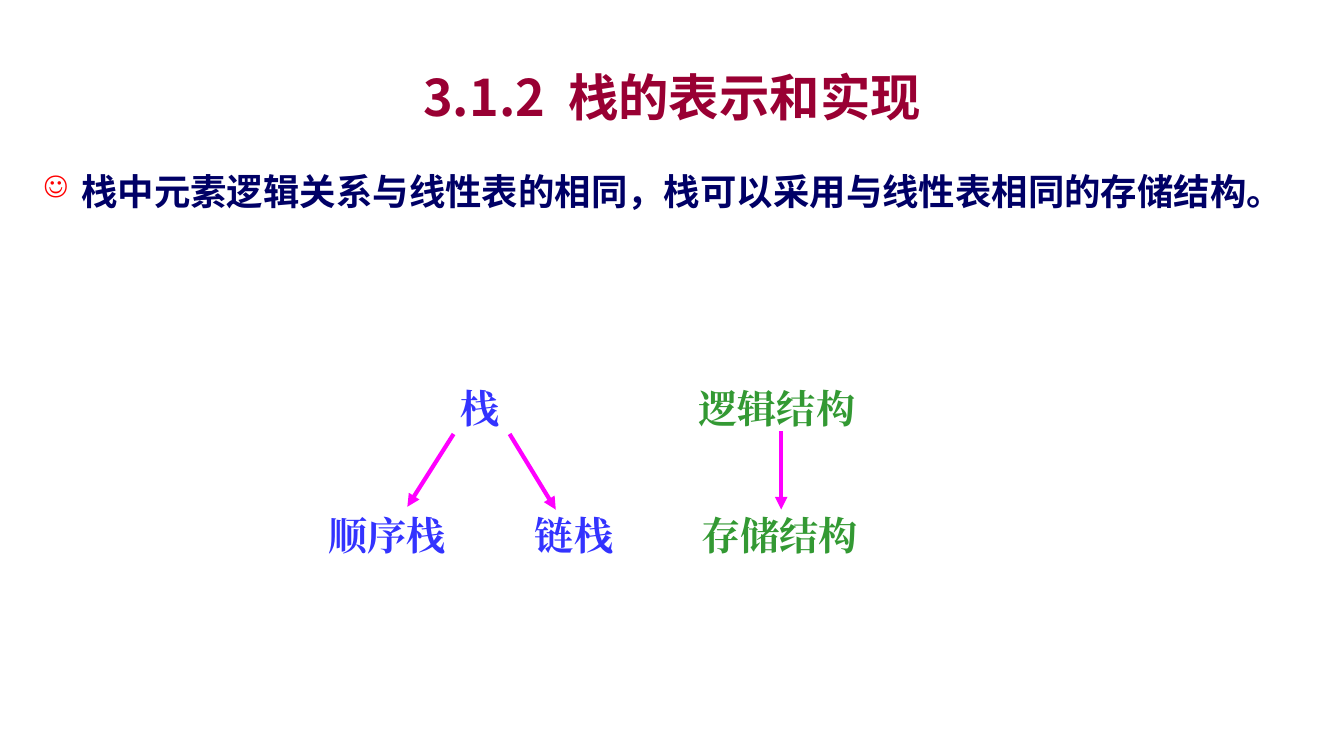
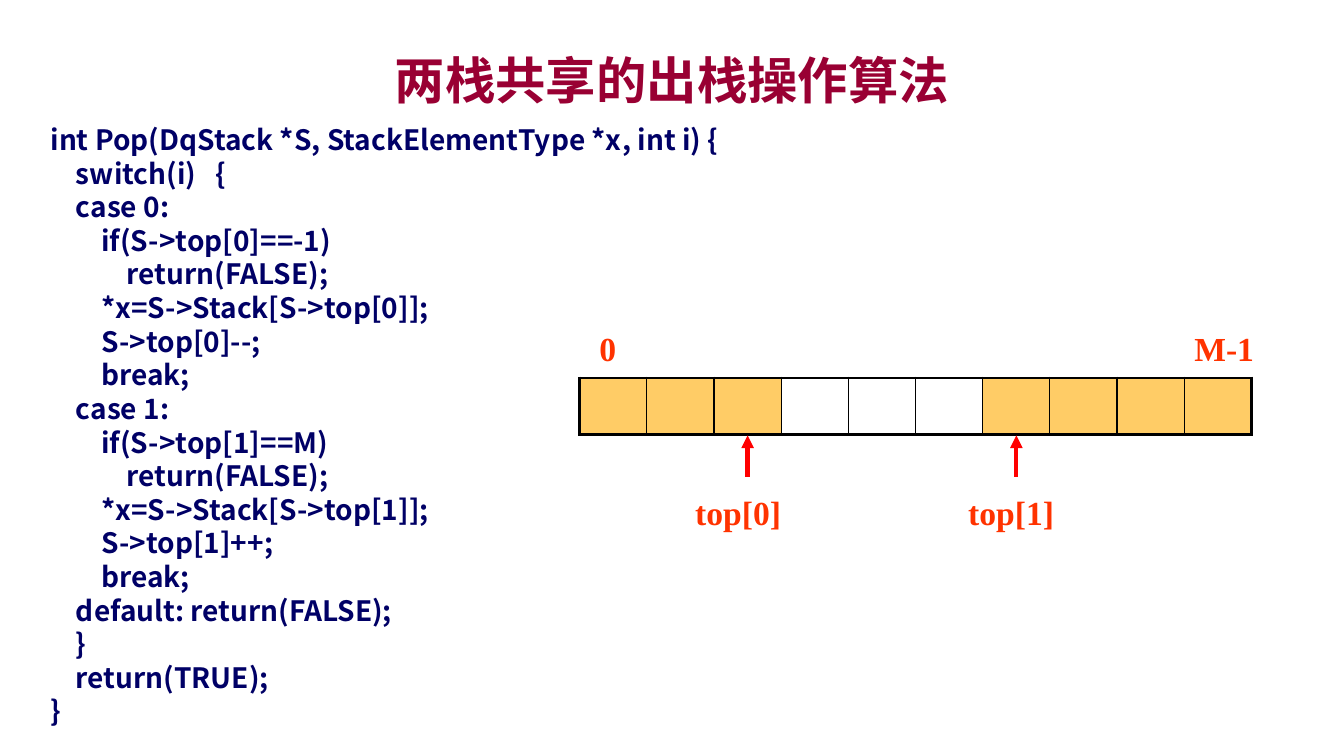
from lxml import etree
from pptx import Presentation
from pptx.dml.color import RGBColor
from pptx.enum.shapes import MSO_CONNECTOR
from pptx.enum.text import MSO_ANCHOR, MSO_AUTO_SIZE, PP_ALIGN
from pptx.oxml.ns import qn
from pptx.util import Pt

COLORS = {
    "title": "990033", "body": "000066", "bullet": "FF0000",
    "stack": "3333FF", "structure": "339933", "branch": "FF00FF",
    "label": "FF3300", "pointer": "FF0000", "border": "000000",
    "used": "FFCC66", "free": "FFFFFF",
}
SANS = "Noto Sans CJK SC"
SERIF = "Times New Roman"


def add_text(sp, lines, size, font, color, align=PP_ALIGN.LEFT):
    tf = sp.text_frame
    tf.word_wrap = True
    tf.auto_size = MSO_AUTO_SIZE.NONE
    for i, line in enumerate(lines):
        p = tf.add_paragraph() if i else tf.paragraphs[0]
        p.alignment = align
        r = p.add_run()
        r.text = line
        r.font.size = Pt(size)
        r.font.bold = True
        r.font.name = font
        r.font.color.rgb = RGBColor.from_string(COLORS[color])
        etree.SubElement(r.font._element, qn("a:ea"), typeface=font)
    return tf


def add_arrow(s, x1, y1, x2, y2, color):
    sp = s.shapes.add_connector(
        MSO_CONNECTOR.STRAIGHT, Pt(x1), Pt(y1), Pt(x2), Pt(y2))
    sp.line.width = Pt(3)
    sp.line.color.rgb = RGBColor.from_string(COLORS[color])
    etree.SubElement(sp.line._get_or_add_ln(), qn("a:tailEnd"), type="triangle")
    etree.SubElement(sp._element.spPr, qn("a:effectLst"))


prs = Presentation()
prs.slide_width, prs.slide_height = Pt(960), Pt(540)

slides = []
for title, height in [("3.1.2  栈的表示和实现", 54), ("两栈共享的出栈操作算法", 30)]:
    s = prs.slides.add_slide(prs.slide_layouts[5])
    sp = s.shapes.title
    sp.left, sp.top, sp.width, sp.height = Pt(72), Pt(42), Pt(816), Pt(height)
    tf = add_text(sp, [title], 36, SANS, "title", PP_ALIGN.CENTER)
    tf.vertical_anchor = MSO_ANCHOR.MIDDLE
    slides.append(s)
overview, pop = slides

sp = overview.shapes.add_textbox(Pt(24), Pt(108), Pt(912), Pt(78))
tf = add_text(sp, ["栈中元素逻辑关系与线性表的相同，栈可以采用与线性表相同的存储结构。"],
              26, SANS, "body")
p = tf.paragraphs[0]
p.line_spacing = 1.3
pPr = p._p.get_or_add_pPr()
pPr.set("marL", str(Pt(27)))
pPr.set("indent", str(-Pt(27)))
buClr = etree.SubElement(pPr, qn("a:buClr"))
etree.SubElement(buClr, qn("a:srgbClr"), val=COLORS["bullet"])
etree.SubElement(pPr, qn("a:buSzPct"), val="80000")
etree.SubElement(pPr, qn("a:buChar"), char="☺")

for text, x, y, width, color, align in [
    ("栈", 312.5, 271, 61, "stack", PP_ALIGN.CENTER),
    ("顺序栈", 227.5, 361.5, 119, "stack", PP_ALIGN.LEFT),
    ("链栈", 375, 361.5, 85, "stack", PP_ALIGN.LEFT),
    ("逻辑结构", 492, 271, 138, "structure", PP_ALIGN.LEFT),
    ("存储结构", 494, 361.5, 154, "structure", PP_ALIGN.LEFT),
]:
    sp = overview.shapes.add_textbox(Pt(x), Pt(y), Pt(width), Pt(41))
    add_text(sp, [text], 28, SERIF, color, align)

for x1, y1, x2, y2 in [
    (324, 310, 291, 362), (364, 310, 397, 364), (558, 308, 558, 364),
]:
    add_arrow(overview, x1, y1, x2, y2, "branch")

code = """int Pop(DqStack *S, StackElementType *x, int i) {
    switch(i)   {
    case 0:
        if(S->top[0]==-1)
            return(FALSE);
        *x=S->Stack[S->top[0]];
        S->top[0]--;
        break;
    case 1:
        if(S->top[1]==M)
            return(FALSE);
        *x=S->Stack[S->top[1]];
        S->top[1]++;
        break;
    default: return(FALSE);
    }
    return(TRUE);
}"""
sp = pop.shapes.add_textbox(Pt(29), Pt(84), Pt(912), Pt(438))
tf = add_text(sp, code.split("\n"), 20, SANS, "body")
for p in tf.paragraphs:
    p.line_spacing = Pt(24)

cells, left, top, cell_w, cell_h = 10, 414, 270, 48, 40.5
table = pop.shapes.add_table(
    1, cells, Pt(left), Pt(top), Pt(cells * cell_w), Pt(cell_h)).table
table.first_row = table.horz_banding = False
for i in range(cells):
    table.columns[i].width = Pt(cell_w)
    cell = table.cell(0, i)
    tcPr = cell._tc.get_or_add_tcPr()
    widths = {"lnL": 1 if i else 2.25, "lnR": 1 if i < cells - 1 else 2.25,
              "lnT": 2.25, "lnB": 2.25}
    for tag, width in widths.items():
        ln = etree.SubElement(tcPr, qn("a:" + tag), w=str(Pt(width)))
        fill = etree.SubElement(ln, qn("a:solidFill"))
        etree.SubElement(fill, qn("a:srgbClr"), val=COLORS["border"])
    cell.fill.solid()
    state = "free" if 3 <= i <= 5 else "used"
    cell.fill.fore_color.rgb = RGBColor.from_string(COLORS[state])

for i in (2, 6):
    x = left + (i + 0.5) * cell_w
    add_arrow(pop, x, 340.5, x, top + cell_h + 0.5, "pointer")

for text, x, y, width in [
    ("top[0]", 489.5, 348, 102), ("top[1]", 684.5, 348, 83),
    ("0", 421, 230.5, 84), ("M-1", 846, 230.5, 84),
]:
    sp = pop.shapes.add_textbox(Pt(x), Pt(y), Pt(width), Pt(36))
    add_text(sp, [text], 24, SERIF, "label")

prs.save("out.pptx")
